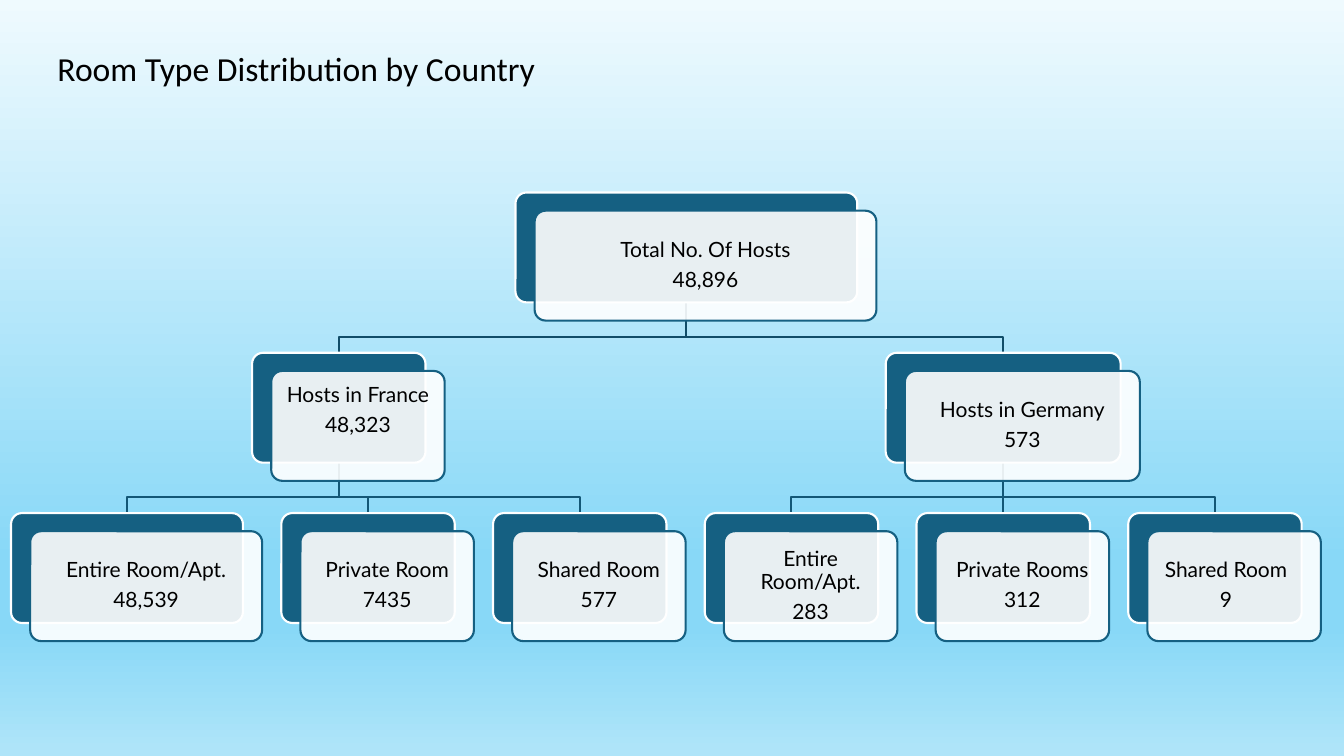
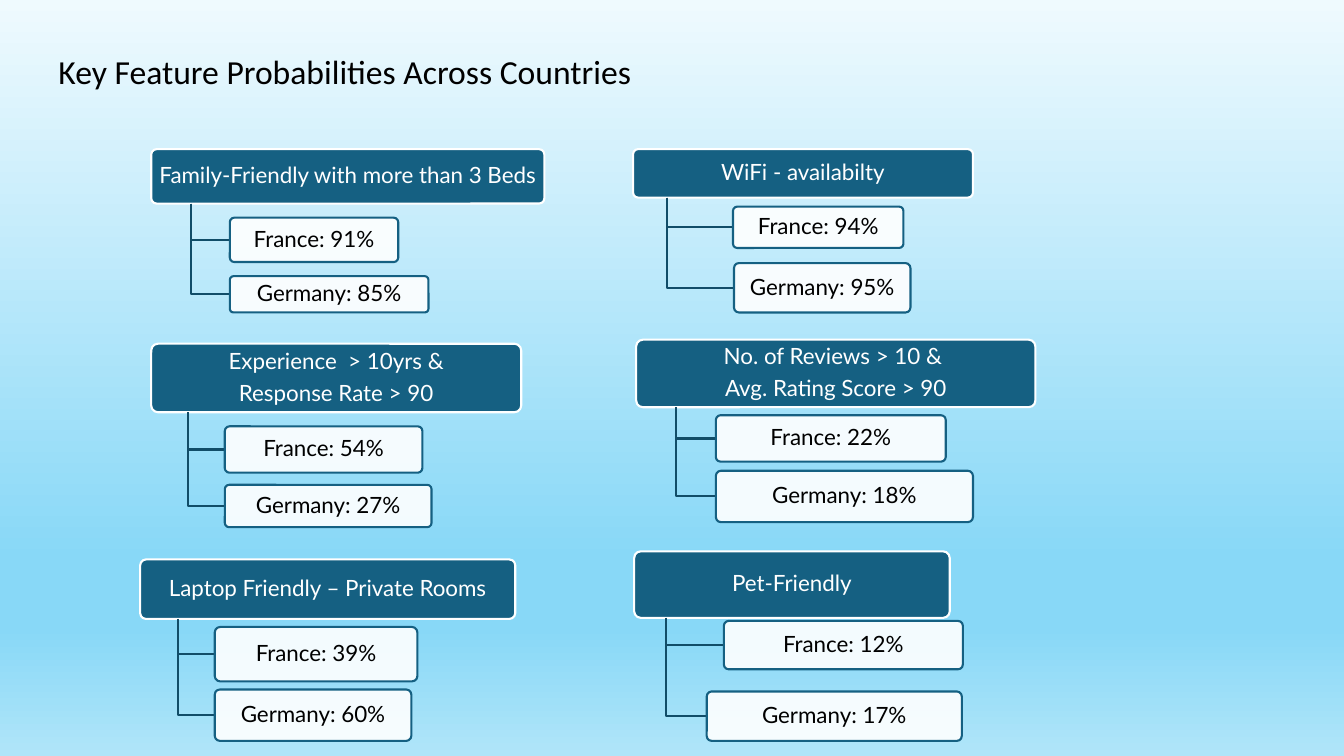
from dataclasses import dataclass

from lxml import etree
from pptx import Presentation
from pptx.dml.color import RGBColor
from pptx.enum.shapes import MSO_CONNECTOR as Connector, MSO_SHAPE as Shape
from pptx.enum.text import MSO_ANCHOR as Anchor, PP_ALIGN as Align
from pptx.oxml.ns import qn
from pptx.util import Inches, Pt

COLORS = {
    "navy": "156082",
    "trunk": "114D68",
    "branch": "135776",
    "white": "FFFFFF",
    "black": "000000",
}
BACKGROUND_STOPS = [(0, "EFFAFE"), (74, "88D8F7"), (83, "88D8F7"), (100, "B0E5F9")]
TITLE_FONT, BODY_FONT = "Calibri", "Lato"
LINE_WIDTH = 1.5


@dataclass
class Box:
    left: float
    top: float
    width: float
    height: float

    @property
    def right(self):
        return self.left + self.width

    @property
    def bottom(self):
        return self.top + self.height

    @property
    def center(self):
        return self.left + self.width / 2

    @property
    def middle(self):
        return self.top + self.height / 2

    def shifted(self, across, down):
        return Box(self.left + across, self.top + down, self.width, self.height)

    def inches(self):
        return [Inches(value) for value in (self.left, self.top, self.width, self.height)]


@dataclass
class Node:
    lines: list
    width: float
    children: tuple = ()
    extra_right: float = 0
    extra_bottom: float = 0
    box: Box = None


HOSTS = Node(["Total No. Of Hosts", "48,896"], 3.39, (
    Node(["Hosts in France", "48,323"], 1.72, (
        Node(["Entire Room/Apt.", "48,539"], 2.3),
        Node(["Private Room", "7435"], 1.72),
        Node(["Shared Room", "577"], 1.72),
    ), extra_bottom=0.3),
    Node(["Hosts in Germany", "573"], 2.33, (
        Node(["Entire Room/Apt.", "283"], 1.72),
        Node(["Private Rooms", "312"], 1.72),
        Node(["Shared Room", "9"], 1.72, extra_right=0.16),
    )),
))

FEATURES = [
    (Box(1.5, 1.48, 3.9, 0.54), ["Family-Friendly with more than 3 Beds"], [
        ("France: 91%", Box(0.78, 0.68, 1.67, 0.44)),
        ("Germany: 85%", Box(0.78, 1.26, 1.97, 0.36))]),
    (Box(6.28, 1.48, 3.37, 0.48), ["WiFi - availabilty"], [
        ("France: 94%", Box(0.99, 0.57, 1.69, 0.41)),
        ("Germany: 95%", Box(1, 1.13, 1.75, 0.49))]),
    (Box(1.5, 3.41, 3.67, 0.68), ["Experience  > 10yrs &", "Response Rate > 90"], [
        ("France: 54%", Box(0.73, 0.82, 1.96, 0.46)),
        ("Germany: 27%", Box(0.73, 1.4, 2.05, 0.42))]),
    (Box(6.31, 3.37, 3.96, 0.67), ["No. of Reviews > 10 & ", "Avg. Rating Score > 90"], [
        ("France: 22%", Box(0.79, 0.75, 2.28, 0.46)),
        ("Germany: 18%", Box(0.79, 1.3, 2.55, 0.51))]),
    (Box(1.39, 5.55, 3.72, 0.59), ["Laptop Friendly – Private Rooms"], [
        ("France: 39%", Box(0.74, 0.67, 2.01, 0.54)),
        ("Germany: 60%", Box(0.74, 1.29, 1.95, 0.51))]),
    (Box(6.29, 5.47, 3.13, 0.66), ["Pet-Friendly"], [
        ("France: 12%", Box(0.89, 0.69, 2.37, 0.48)),
        ("Germany: 17%", Box(0.72, 1.39, 2.53, 0.49))]),
]


def color(name):
    return RGBColor.from_string(COLORS[name])


def paint_background(master):
    fill = master.background.fill
    fill.gradient()
    fill.gradient_angle = 270
    stops = master.element.find(".//" + qn("p:bgPr")).find(".//" + qn("a:gsLst"))
    for stop in list(stops):
        stops.remove(stop)
    for position, value in BACKGROUND_STOPS:
        stop = etree.SubElement(stops, qn("a:gs"), pos=str(position * 1000))
        etree.SubElement(stop, qn("a:srgbClr"), val=value)


def add_titled_slide(presentation, text, box):
    slide = presentation.slides.add_slide(presentation.slide_layouts[5])
    title = slide.shapes.title
    title.left, title.top, title.width, title.height = box.inches()
    frame = title.text_frame
    frame.text = text
    frame.word_wrap = True
    frame.vertical_anchor = Anchor.MIDDLE
    paragraph = frame.paragraphs[0]
    paragraph.alignment = Align.LEFT
    paragraph.line_spacing = 0.9
    paragraph.font.name = TITLE_FONT
    paragraph.font.size = Pt(24)
    paragraph.font.color.rgb = color("black")
    return slide


def add_route(slide, points, color_name):
    points = [(Inches(across), Inches(down)) for across, down in points]
    start, end = points[0], points[-1]
    if abs(start[0] - end[0]) < Inches(0.01):
        route = slide.shapes.add_connector(Connector.STRAIGHT, *start, *end)
        etree.SubElement(route.element.spPr, qn("a:effectLst"))
    else:
        builder = slide.shapes.build_freeform(*start)
        builder.add_line_segments(points[1:], close=False)
        route = builder.convert_to_shape()
        route.shadow.inherit = False
        route.fill.background()
    route.line.color.rgb = color(color_name)
    route.line.width = Pt(LINE_WIDTH)


def add_card(slide, box, dark):
    card = slide.shapes.add_shape(Shape.ROUNDED_RECTANGLE, *box.inches())
    card.shadow.inherit = False
    card.adjustments[0] = 0.1
    card.fill.solid()
    card.fill.fore_color.rgb = color("navy" if dark else "white")
    card.line.color.rgb = color("white" if dark else "navy")
    card.line.width = Pt(LINE_WIDTH)
    if not dark:
        tint = card.element.spPr.find(qn("a:solidFill")).find(qn("a:srgbClr"))
        etree.SubElement(tint, qn("a:alpha"), val="90000")
    return card


def write_lines(card, lines, size, color_name, margins):
    frame = card.text_frame
    frame.word_wrap = True
    frame.vertical_anchor = Anchor.MIDDLE
    (frame.margin_left, frame.margin_top,
     frame.margin_right, frame.margin_bottom) = [Inches(value) for value in margins]
    for index, text in enumerate(lines):
        paragraph = frame.add_paragraph() if index else frame.paragraphs[0]
        paragraph.text = text
        paragraph.alignment = Align.CENTER
        paragraph.line_spacing = 0.9
        paragraph.space_after = Pt(round(size * 0.35, 1))
        paragraph.font.name = BODY_FONT
        paragraph.font.size = Pt(size)
        paragraph.font.color.rgb = color(color_name)


def place_nodes(node, left, top, gap=0.38, height=1.09, row=1.59):
    if not node.children:
        node.box = Box(left, top, node.width, height)
        return node.box.right + gap
    for child in node.children:
        left = place_nodes(child, left, top + row, gap, height, row)
    center = (node.children[0].box.left + node.children[-1].box.right) / 2
    node.box = Box(center - node.width / 2, top, node.width, height)
    return left


def draw_branches(slide, node, color_name="trunk"):
    bar = node.box.bottom + 0.34
    for child in reversed(node.children):
        draw_branches(slide, child, "branch")
        add_route(slide, [(node.box.center, node.box.bottom), (node.box.center, bar),
                          (child.box.center, bar), (child.box.center, child.box.top)],
                  color_name)


def draw_nodes(slide, node):
    add_card(slide, node.box, dark=True)
    front = add_card(slide, node.box.shifted(0.19, 0.18), dark=False)
    margin = 0.09
    write_lines(front, node.lines, 15, "black",
                (margin, margin, margin + node.extra_right, margin + node.extra_bottom))
    for child in node.children:
        draw_nodes(slide, child)


def draw_feature(slide, box, heading, answers):
    margins = (0.05, 0.04, 0.05, 0.04)
    spine = box.left + box.width * 0.1
    write_lines(add_card(slide, box, dark=True), heading, 16, "white", margins)
    for text, offset in answers:
        place = offset.shifted(box.left, box.top)
        add_route(slide, [(spine, box.bottom), (spine, place.middle),
                          (place.left, place.middle)], "trunk")
        write_lines(add_card(slide, place, dark=False), [text], 16, "black", margins)


def main():
    presentation = Presentation()
    presentation.slide_width = Inches(13.33)
    presentation.slide_height = Inches(7.5)
    paint_background(presentation.slide_master)

    rooms = add_titled_slide(
        presentation, "Room Type Distribution by Country", Box(0.47, 0.37, 6.43, 0.66))
    place_nodes(HOSTS, left=0.11, top=1.91)
    draw_branches(rooms, HOSTS)
    draw_nodes(rooms, HOSTS)

    features = add_titled_slide(
        presentation, "Key Feature Probabilities Across Countries", Box(0.48, 0.46, 8.48, 0.55))
    for box, heading, answers in FEATURES:
        draw_feature(features, box, heading, answers)

    presentation.save("out.pptx")


if __name__ == "__main__":
    main()
